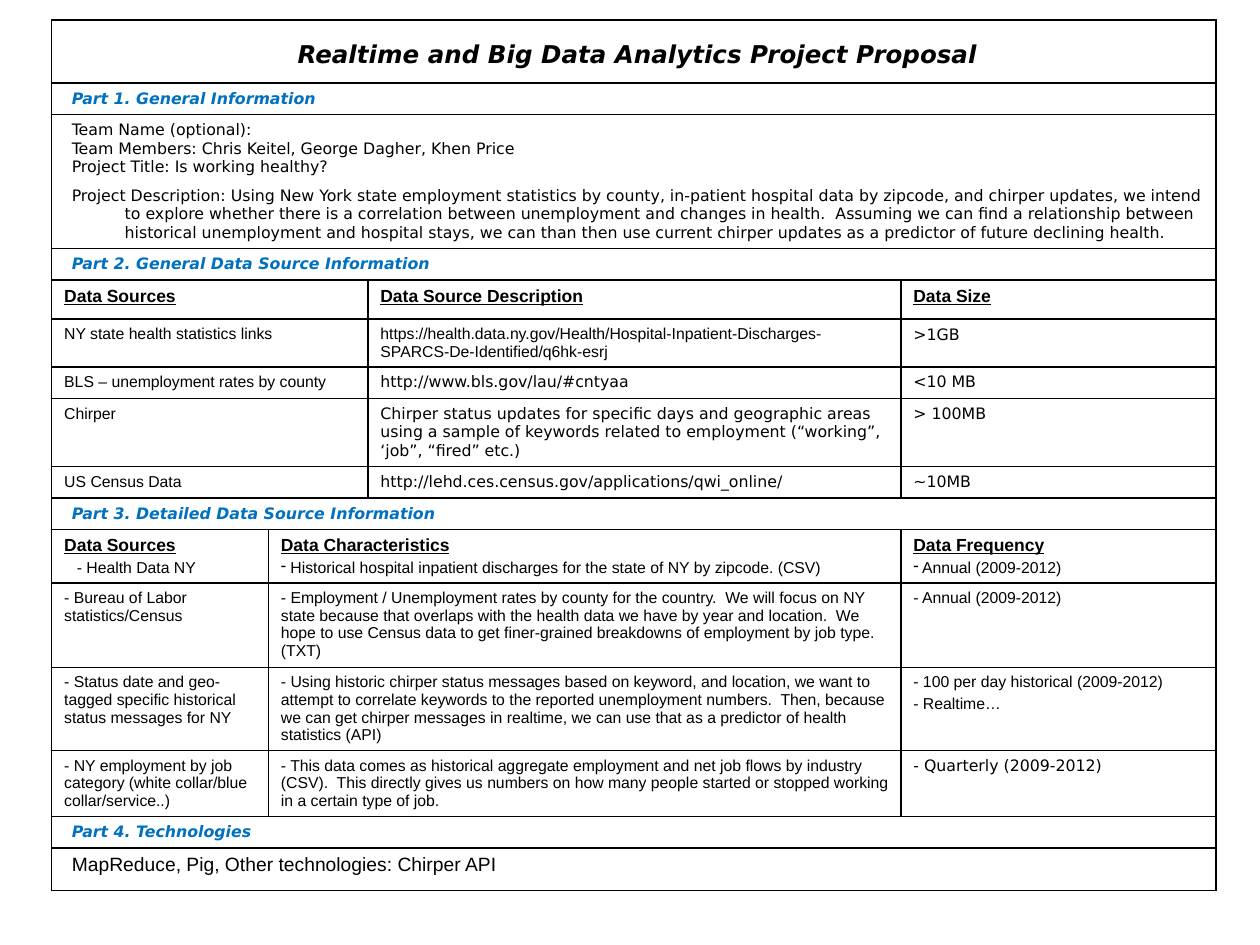
import dataclasses
import typing

import lxml.etree
import pptx
import pptx.dml.color
import pptx.enum.text
import pptx.oxml.ns
import pptx.table
import pptx.util

Inches = pptx.util.Inches
Pt = pptx.util.Pt
qualified = pptx.oxml.ns.qn


@dataclasses.dataclass(frozen=True)
class Theme:
    sans: str = "Arial"
    wide: str = "DejaVu Sans"
    black: str = "000000"
    blue: str = "0070C0"
    white: str = "FFFFFF"
    title_size: int = 14
    technology_size: int = 11
    header_size: int = 10
    text_size: int = 9
    border_width: int = 1
    hanging: float = 0.48
    first_line: float = -0.42


THEME = Theme()


@dataclasses.dataclass(frozen=True)
class Style:
    font: str = THEME.sans
    size: int = THEME.text_size
    color: str = THEME.black
    bold: bool = False
    italic: bool = False
    underline: bool = False
    hanging: bool = False
    centered: bool = False


TITLE = Style(THEME.wide, THEME.title_size, bold=True, italic=True, hanging=True, centered=True)
SECTION = Style(THEME.wide, color=THEME.blue, bold=True, italic=True, hanging=True)
GENERAL = Style(THEME.wide, hanging=True)
HEADER = Style(size=THEME.header_size, bold=True, underline=True)
PLAIN = Style()
WIDE = Style(THEME.wide)
TECHNOLOGY = Style(size=THEME.technology_size, hanging=True)


class Line(typing.NamedTuple):
    text: str
    style: Style = PLAIN
    space_before: float = 0
    bullet: str = ""
    left: float = 0


class Row(typing.NamedTuple):
    height: float
    spans: tuple[int, ...]
    cells: list[list[Line]]
    margin_top: float = 0.05


FULL = (4,)
SOURCES = (2, 1, 1)
DETAILS = (1, 2, 1)
COLUMN_WIDTHS = (1.72, 0.79, 4.23, 2.5)


def full_row(height: float, *lines: Line, margin_top: float = 0.05) -> Row:
    return Row(height, FULL, [list(lines)], margin_top)


def section_row(text: str) -> Row:
    return full_row(0.25, Line(text, SECTION))


def simple_row(height: float, spans: tuple[int, ...], *cells: tuple[str, Style]) -> Row:
    return Row(height, spans, [[Line(text, style)] for text, style in cells])


ROWS = [
    full_row(0.5, Line("Realtime and Big Data Analytics Project Proposal", TITLE), margin_top=0.16),
    section_row("Part 1. General Information"),
    full_row(
        1.06,
        Line("Team Name (optional):", GENERAL),
        Line("Team Members: Chris Keitel, George Dagher, Khen Price", GENERAL),
        Line("Project Title: Is working healthy?", GENERAL),
        Line("Project Description: Using New York state employment statistics by county, in-patient "
             "hospital data by zipcode, and chirper updates, we intend to explore whether there is a "
             "correlation between unemployment and changes in health.  Assuming we can find a "
             "relationship between historical unemployment and hospital stays, we can than then use "
             "current chirper updates as a predictor of future declining health.", GENERAL, 5.8),
    ),
    section_row("Part 2. General Data Source Information"),
    simple_row(0.31, SOURCES, ("Data Sources", HEADER), ("Data Source Description", HEADER),
               ("Data Size", HEADER)),
    simple_row(0.38, SOURCES, ("NY state health statistics links", PLAIN),
               ("https://health.data.ny.gov/Health/Hospital-Inpatient-Discharges-"
                "SPARCS-De-Identified/q6hk-esrj", PLAIN), (">1GB", WIDE)),
    simple_row(0.25, SOURCES, ("BLS – unemployment rates by county", PLAIN),
               ("http://www.bls.gov/lau/#cntyaa", WIDE), ("<10 MB", WIDE)),
    simple_row(0.54, SOURCES, ("Chirper", PLAIN),
               ("Chirper status updates for specific days and geographic areas using a sample of "
                "keywords related to employment (“working”, ‘job”, “fired” etc.)", WIDE),
               ("> 100MB", WIDE)),
    simple_row(0.25, SOURCES, ("US Census Data", PLAIN),
               ("http://lehd.ces.census.gov/applications/qwi_online/", WIDE), ("~10MB", WIDE)),
    section_row("Part 3. Detailed Data Source Information"),
    Row(0.42, DETAILS, [
        [Line("Data Sources", HEADER), Line("- Health Data NY", space_before=2, left=0.1)],
        [Line("Data Characteristics", HEADER),
         Line(" Historical hospital inpatient discharges for the state of NY by zipcode. (CSV)",
              space_before=2, bullet="-")],
        [Line("Data Frequency", HEADER), Line(" Annual (2009-2012)", space_before=2, bullet="-")],
    ]),
    simple_row(0.67, DETAILS, ("- Bureau of Labor statistics/Census", PLAIN),
               ("- Employment / Unemployment rates by county for the country.  We will focus on NY "
                "state because that overlaps with the health data we have by year and location.  We "
                "hope to use Census data to get finer-grained breakdowns of employment by job type. "
                "(TXT)", PLAIN), ("- Annual (2009-2012)", PLAIN)),
    Row(0.66, DETAILS, [
        [Line("- Status date and geo-tagged specific historical status messages for NY")],
        [Line("- Using historic chirper status messages based on keyword, and location, we want to "
              "attempt to correlate keywords to the reported unemployment numbers.  Then, because we "
              "can get chirper messages in realtime, we can use that as a predictor of health "
              "statistics (API)")],
        [Line("- 100 per day historical (2009-2012)"), Line("- Realtime…", space_before=2)],
    ]),
    simple_row(0.52, DETAILS,
               ("- NY employment by job category (white collar/blue collar/service..)", PLAIN),
               ("- This data comes as historical aggregate employment and net job flows by industry "
                "(CSV).  This directly gives us numbers on how many people started or stopped working "
                "in a certain type of job.", PLAIN), ("- Quarterly (2009-2012)", WIDE)),
    section_row("Part 4. Technologies"),
    full_row(0.34, Line("MapReduce, Pig, Other technologies: Chirper API", TECHNOLOGY)),
]


def set_attributes(target: typing.Any, values: dict[str, typing.Any]) -> None:
    for name, value in values.items():
        setattr(target, name, value)


def write_line(paragraph: typing.Any, line: Line) -> None:
    style = line.style
    alignment = pptx.enum.text.PP_ALIGN
    set_attributes(paragraph, {
        "alignment": alignment.CENTER if style.centered else alignment.LEFT,
        "space_before": Pt(line.space_before),
    })
    run = paragraph.add_run()
    run.text = line.text
    set_attributes(run.font, {
        "name": style.font, "size": Pt(style.size), "bold": style.bold,
        "italic": style.italic, "underline": style.underline,
    })
    run.font.color.rgb = pptx.dml.color.RGBColor.from_string(style.color)
    properties = paragraph._p.get_or_add_pPr()
    properties.set("marL", str(Inches(THEME.hanging if style.hanging else line.left)))
    properties.set("indent", str(Inches(THEME.first_line if style.hanging else 0)))
    if line.bullet:
        bullet = lxml.etree.SubElement(properties, qualified("a:buChar"))
        bullet.set("char", line.bullet)


def format_cell(cell: pptx.table._Cell) -> None:
    cell.fill.solid()
    cell.fill.fore_color.rgb = pptx.dml.color.RGBColor.from_string(THEME.white)
    properties = cell._tc.get_or_add_tcPr()
    for position, side in enumerate("LRTB"):
        border = lxml.etree.Element(qualified(f"a:ln{side}"), w=str(Pt(THEME.border_width)))
        fill = lxml.etree.SubElement(border, qualified("a:solidFill"))
        lxml.etree.SubElement(fill, qualified("a:srgbClr"), val=THEME.black)
        properties.insert(position, border)


def write_row(table: pptx.table.Table, index: int, row: Row) -> None:
    table.rows[index].height = Inches(row.height)
    for column in range(len(COLUMN_WIDTHS)):
        format_cell(table.cell(index, column))
    start = 0
    for span, lines in zip(row.spans, row.cells):
        cell = table.cell(index, start)
        if span > 1:
            cell.merge(table.cell(index, start + span - 1))
        set_attributes(cell, {
            "margin_left": Inches(0.1), "margin_right": Inches(0.1),
            "margin_top": Inches(row.margin_top), "margin_bottom": Inches(0.05),
        })
        frame = cell.text_frame
        for number, line in enumerate(lines):
            write_line(frame.add_paragraph() if number else frame.paragraphs[0], line)
        start += span


def main() -> None:
    presentation = pptx.Presentation()
    set_attributes(presentation, {"slide_width": Inches(10), "slide_height": Inches(7.5)})
    slide = presentation.slides.add_slide(presentation.slide_layouts[6])
    shape = slide.shapes.add_table(
        len(ROWS), len(COLUMN_WIDTHS), Inches(0.41), Inches(0.16),
        Inches(sum(COLUMN_WIDTHS)), Inches(sum(row.height for row in ROWS)),
    )
    table = shape.table
    set_attributes(table, {"first_row": False, "horz_banding": False})
    for column, width in zip(table.columns, COLUMN_WIDTHS):
        column.width = Inches(width)
    for index, row in enumerate(ROWS):
        write_row(table, index, row)
    presentation.save("out.pptx")


if __name__ == "__main__":
    main()
